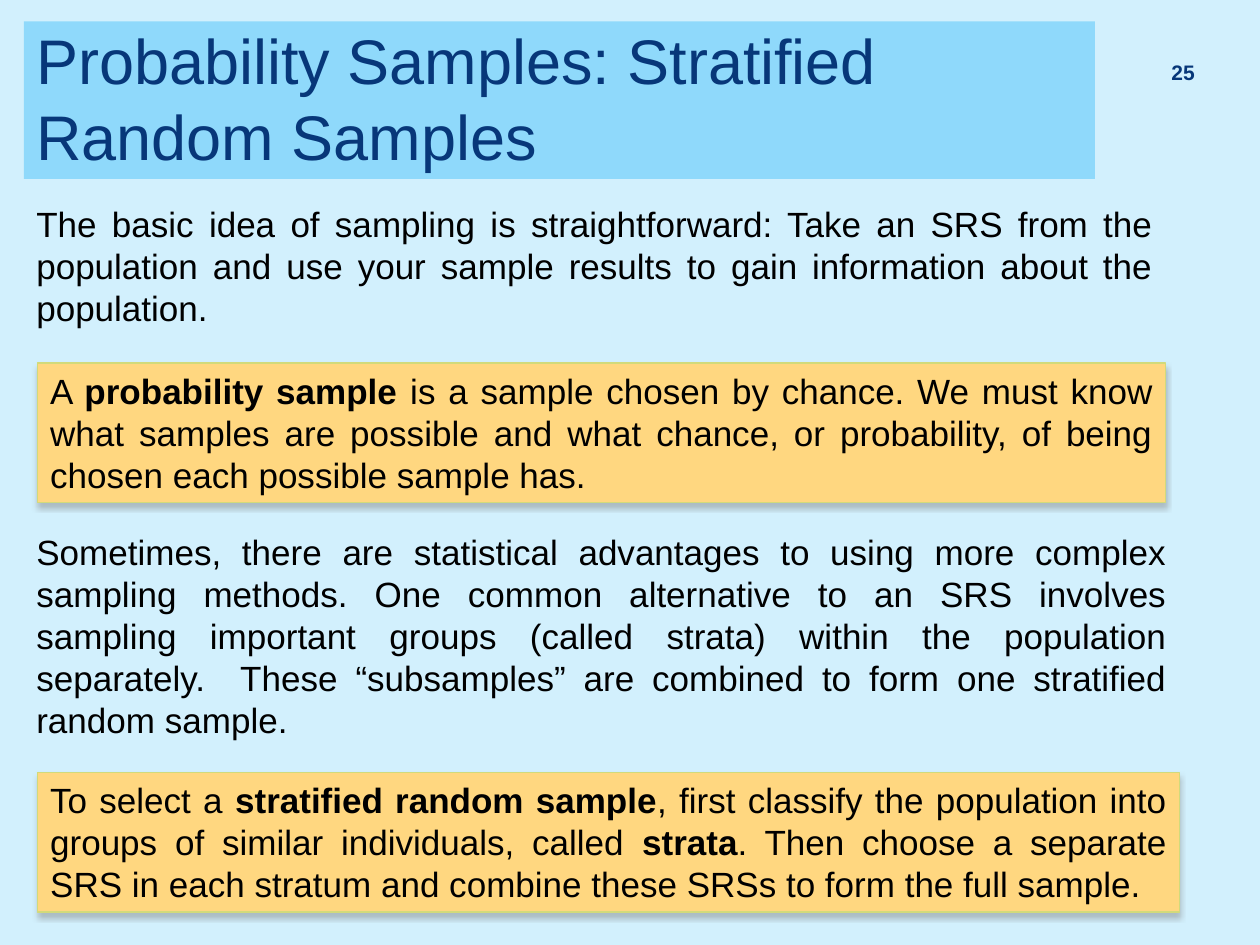
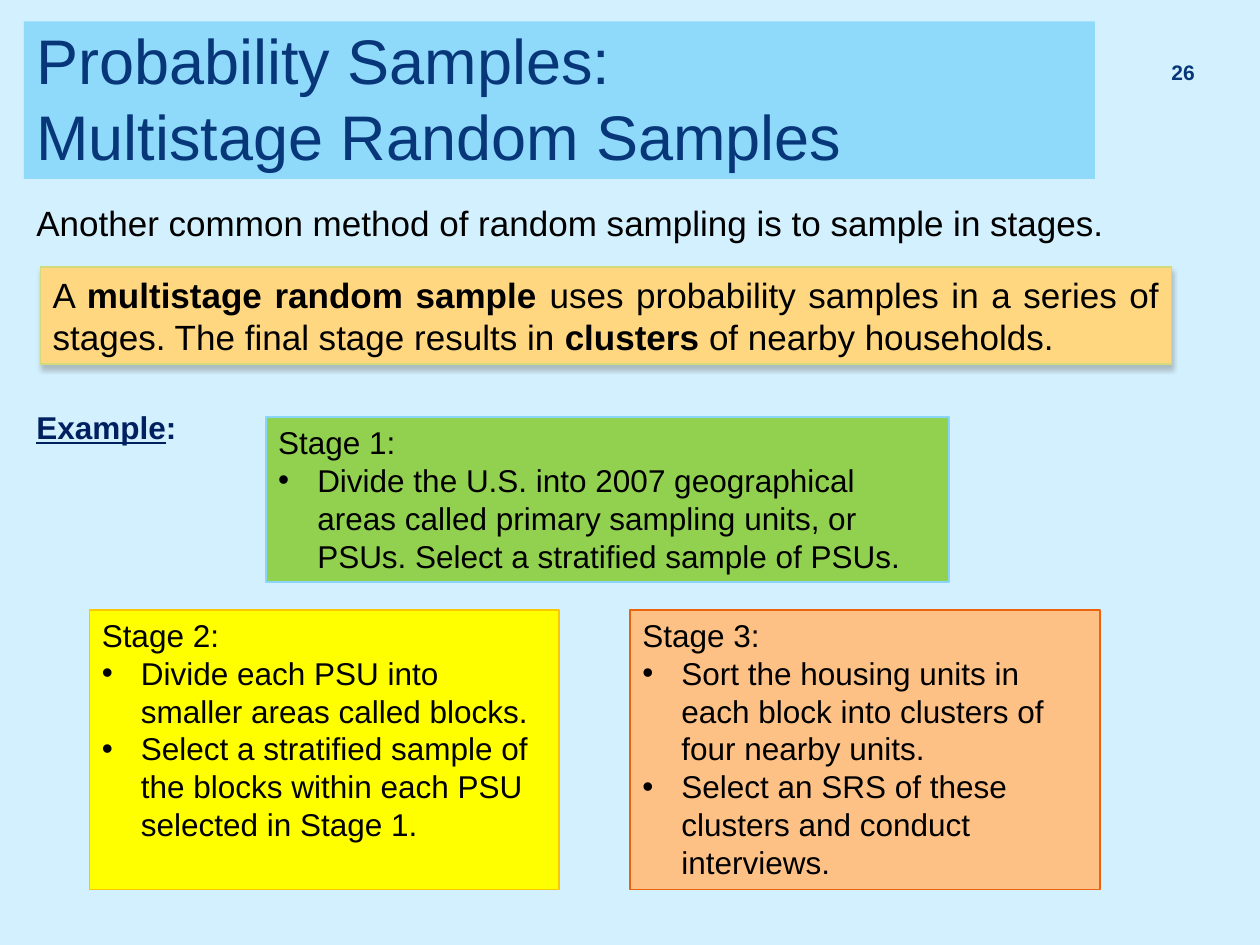
from dataclasses import dataclass

from lxml.etree import SubElement as Sub
from pptx import Presentation
from pptx.dml.color import RGBColor as Rgb
from pptx.enum.shapes import MSO_SHAPE as Shape
from pptx.enum.text import MSO_ANCHOR as Anchor, PP_ALIGN as Align
from pptx.oxml.ns import qn
from pptx.util import Inches, Pt


@dataclass(frozen=True)
class Theme:
    """Colours, type sizes and spacing of the deck."""
    font: str = "Arial"
    back: str = "D2F0FD"
    band: str = "8FD9FB"
    navy: str = "073779"
    label: str = "002060"
    ink: str = "000000"
    gold: str = "FFD780"
    edge: str = "D2DA7A"
    shade: str = "808080"
    head: int = 36
    body: int = 20
    item: int = 18
    num: int = 12
    left: float = 0.19
    indent: float = 0.31


T = Theme()


def place(box):
    """Turn a box in inches into lengths."""
    return [Inches(v) for v in box]


def bullet(para):
    """Give a paragraph a hanging bullet."""
    props = para._p.get_or_add_pPr()
    props.set("marL", str(Inches(T.indent)))
    props.set("indent", str(-Inches(T.indent)))
    Sub(props, qn("a:buFont"), typeface=T.font)
    Sub(props, qn("a:buChar"), char="•")


def style(font, size, color, bold=None):
    """Set the face, size and colour of a font."""
    font.name, font.size, font.bold = T.font, Pt(size), bold
    font.color.rgb = Rgb.from_string(color)


def fill_in(para, text, mark="bold"):
    """Add text, with the parts between asterisks marked."""
    for i, part in enumerate(text.split("*")):
        for j, line in enumerate(part.split("\n")):
            if j:
                para.add_line_break()
            if line:
                run = para.add_run()
                run.text = line
                if i % 2:
                    setattr(run.font, mark, True)


def write(shape, text, size, color=T.ink, align=Align.LEFT, bold=None,
          anchor=Anchor.TOP, mark="bold", items=()):
    """Write a lead paragraph and its bulleted items into a shape."""
    frame = shape.text_frame
    frame.word_wrap, frame.vertical_anchor = True, anchor
    for i, line in enumerate([text, *items]):
        para = frame.add_paragraph() if i else frame.paragraphs[0]
        if i:
            bullet(para)
        para.alignment = align
        style(para.font, size, color, bold)
        fill_in(para, line, mark)
    return frame


def label(slide, box, text, size=T.body, **look):
    """Place a plain text box."""
    return write(slide.shapes.add_textbox(*place(box)), text, size, **look)


def panel(slide, box, fill, edge=None, width=1):
    """Place a filled rectangle."""
    rect = slide.shapes.add_shape(Shape.RECTANGLE, *place(box))
    rect.shadow.inherit = False
    rect.fill.solid()
    rect.fill.fore_color.rgb = Rgb.from_string(fill)
    if edge:
        rect.line.color.rgb = Rgb.from_string(edge)
        rect.line.width = Pt(width)
    else:
        rect.line.fill.background()
    return rect


def cast(rect):
    """Drop a soft shadow straight below a rectangle."""
    group = rect._element.spPr.find(qn("a:effectLst"))
    outer = Sub(group, qn("a:outerShdw"), blurRad=str(Pt(3)),
                dist=str(Pt(2.4)), dir="5400000", rotWithShape="0")
    color = Sub(outer, qn("a:srgbClr"), val=T.shade)
    Sub(color, qn("a:alpha"), val="45000")


def define(slide, box, text):
    """Place a gold box that holds a definition."""
    rect = panel(slide, box, T.gold, T.edge, 0.79)
    cast(rect)
    write(rect, text, T.body, align=Align.JUSTIFY)


def stage(slide, box, num, fill, edge, items):
    """Place a coloured box for one sampling stage."""
    write(panel(slide, box, fill, edge), f"Stage {num}:", T.item, items=items)


def start(deck, title, num):
    """Add a slide with its background, title band and number."""
    slide = deck.slides.add_slide(deck.slide_layouts[6])
    slide.background.fill.solid()
    slide.background.fill.fore_color.rgb = Rgb.from_string(T.back)
    band = panel(slide, (T.left, 0.17, 8.5, 1.25), T.band)
    write(band, title, T.head, T.navy, anchor=Anchor.BOTTOM)
    frame = label(slide, (9.03, 0.39, 0.55, 0.4), str(num), T.num, color=T.navy,
                  align=Align.RIGHT, bold=True, anchor=Anchor.MIDDLE)
    frame.paragraphs[0].line_spacing = 0.8
    return slide


def strata(deck):
    """Build the slide on stratified samples."""
    slide = start(deck, "Probability Samples: Stratified Random Samples", 25)
    label(slide, (T.left, 1.56, 9.06, 1.11),
          "The basic idea of sampling is straightforward: Take an SRS from the "
          "population and use your sample results to gain information about the "
          "population.", align=Align.JUSTIFY)
    define(slide, (0.3, 2.88, 8.95, 1.11),
           "A *probability sample *is a sample chosen by chance. We must know what "
           "samples are possible and what chance, or probability, of being chosen "
           "each possible sample has.")
    label(slide, (T.left, 4.16, 9.17, 1.78),
          "Sometimes, there are statistical advantages to using more complex "
          "sampling methods. One common alternative to an SRS involves sampling "
          "important groups (called strata) within the population separately.  "
          "These “subsamples” are combined to form one stratified random sample.",
          align=Align.JUSTIFY)
    define(slide, (0.3, 6.13, 9.06, 1.11),
           "To select a *stratified random sample*, first classify the population "
           "into groups of similar individuals, called *strata*. Then choose a "
           "separate SRS in each stratum and combine these SRSs to form the full "
           "sample.")


def stages(deck):
    """Build the slide on multistage samples."""
    slide = start(deck, "Probability Samples: \nMultistage Random Samples", 26)
    label(slide, (T.left, 1.55, 9.33, 0.53),
          "Another common method of random sampling is to sample in stages.")
    define(slide, (0.32, 2.12, 8.98, 0.77),
           "A *multistage random sample *uses probability samples in a series of "
           "stages. The final stage results in *clusters *of nearby households.")
    label(slide, (T.left, 3.19, 1.56, 0.4), "*Example*:", T.item,
          color=T.label, bold=True, mark="underline")
    stage(slide, (2.11, 3.31, 5.42, 1.31), 1, "92D050", "89D5F8", [
        "Divide the U.S. into 2007 geographical areas called primary sampling "
        "units, or PSUs. Select a stratified sample of PSUs."])
    stage(slide, (0.71, 4.84, 3.73, 2.22), 2, "FFFF00", "F9C800", [
        "Divide each PSU into smaller areas called blocks.",
        "Select a stratified sample of the blocks within each PSU selected in "
        "Stage 1."])
    stage(slide, (5, 4.84, 3.73, 2.22), 3, "FEC185", "EB620F", [
        "Sort the housing units in each block into clusters of four nearby units.",
        "Select an SRS of these clusters and conduct interviews."])


def main():
    """Build and save the deck."""
    deck = Presentation()
    deck.slide_width, deck.slide_height = Inches(10), Inches(7.5)
    strata(deck)
    stages(deck)
    deck.save("out.pptx")


if __name__ == "__main__":
    main()
